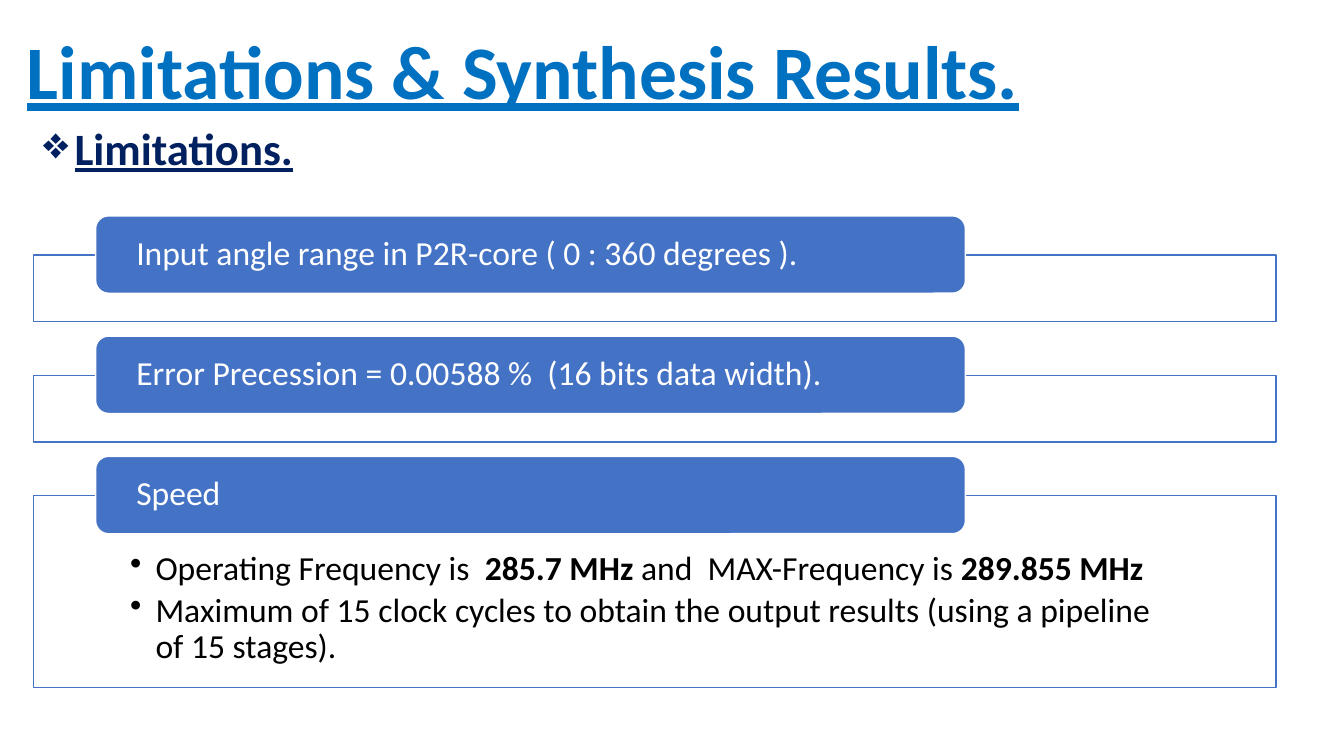
from lxml.etree import SubElement
from pptx import Presentation
from pptx.dml.color import RGBColor
from pptx.enum.shapes import MSO_SHAPE as Shape
from pptx.enum.text import MSO_ANCHOR as Anchor, PP_ALIGN as Align
from pptx.oxml.ns import qn
from pptx.util import Cm, Pt

TITLE = "Limitations & Synthesis Results."
SUBTITLE = "Limitations."
# Each section: label, frame height in cm, bullets made of (text, bold) spans
SECTIONS = [
    ("Input angle range in P2R-core ( 0 : 360 degrees ).", 1.68, []),
    ("Error Precession = 0.00588 %  (16 bits data width).", 1.68, []),
    ("Speed", 4.83, [
        [("Operating Frequency is  ", False), ("285.7 MHz ", True),
         ("and  MAX-Frequency is ", False), ("289.855 MHz", True)],
        [("Maximum of 15 clock cycles to obtain the output results "
          "(using a pipeline of 15 stages).", False)],
    ]),
]
COLORS = {"title": "0070C0", "subtitle": "002060", "accent": "4472C4",
          "white": "FFFFFF", "black": "000000"}
FONT = "Calibri"

FRAME_LEFT, FRAME_WIDTH = 0.84, 31.32
LABEL_LEFT, LABEL_WIDTH, LABEL_HEIGHT = 2.41, 21.92, 1.95
FIRST_LABEL_TOP = 5.44
FRAME_DROP = 0.99
SECTION_GAP = 0.36


def color(name):
    return RGBColor.from_string(COLORS[name])


def add_span(para, text, size, color_name, bold=False, underline=False):
    span = para.add_run()
    span.text = text
    font = span.font
    font.name, font.size, font.bold = FONT, Pt(size), bold
    font.color.rgb = color(color_name)
    if underline:
        font.underline = True


def add_bullet(para, char, indent):
    properties = para._p.get_or_add_pPr()
    properties.set("marL", str(Cm(indent)))
    properties.set("indent", str(-Cm(indent)))
    SubElement(properties, qn("a:buChar")).set("char", char)


def set_frame(frame, anchor, margins=None):
    """Wrap the text; margins are left, top, right, bottom in cm."""
    frame.word_wrap = True
    frame.vertical_anchor = anchor
    if margins:
        (frame.margin_left, frame.margin_top,
         frame.margin_right, frame.margin_bottom) = map(Cm, margins)


def add_heading(page, place, text, size, color_name, anchor):
    box = page.shapes.add_textbox(*map(Cm, place))
    set_frame(box.text_frame, anchor)
    para = box.text_frame.paragraphs[0]
    add_span(para, text, size, color_name, bold=True, underline=True)
    return para


def add_panel(page, kind, place, fill, line):
    panel = page.shapes.add_shape(kind, *map(Cm, place))
    panel.shadow.inherit = False
    panel.fill.solid()
    panel.fill.fore_color.rgb = color(fill)
    panel.line.color.rgb = color(line)
    panel.line.width = Pt(1)
    return panel


def add_section(page, top, label, height, bullets):
    frame = add_panel(page, Shape.RECTANGLE,
                      (FRAME_LEFT, top + FRAME_DROP, FRAME_WIDTH, height),
                      "white", "accent")
    if bullets:
        body = frame.text_frame
        set_frame(body, Anchor.TOP, (2.44, 1.4, 2.44, 0.48))
        for index, spans in enumerate(bullets):
            para = body.add_paragraph() if index else body.paragraphs[0]
            add_bullet(para, "•", 0.64)
            para.alignment = Align.LEFT
            para.line_spacing = 0.9
            para.space_after = Pt(4)
            for text, bold in spans:
                add_span(para, text, 24, "black", bold)

    tab = add_panel(page, Shape.ROUNDED_RECTANGLE,
                    (LABEL_LEFT, top, LABEL_WIDTH, LABEL_HEIGHT),
                    "accent", "white")
    set_frame(tab.text_frame, Anchor.MIDDLE, (0.93, 0, 0.93, 0))
    para = tab.text_frame.paragraphs[0]
    para.alignment = Align.LEFT
    para.line_spacing = 0.9
    add_span(para, label, 24, "white")


def main():
    deck = Presentation()
    deck.slide_width, deck.slide_height = Cm(33.87), Cm(19.05)
    page = deck.slides.add_slide(deck.slide_layouts[6])

    title = add_heading(page, (0.43, 0.05, 33.02, 3.68), TITLE, 54, "title", Anchor.MIDDLE)
    title.line_spacing = 0.9
    subtitle = add_heading(page, (0.84, 2.92, 17.17, 1.63), SUBTITLE, 32, "subtitle", Anchor.TOP)
    add_bullet(subtitle, "❖", 0.79)

    top = FIRST_LABEL_TOP
    for label, height, bullets in SECTIONS:
        add_section(page, top, label, height, bullets)
        top += FRAME_DROP + height + SECTION_GAP

    deck.save("out.pptx")


if __name__ == "__main__":
    main()
